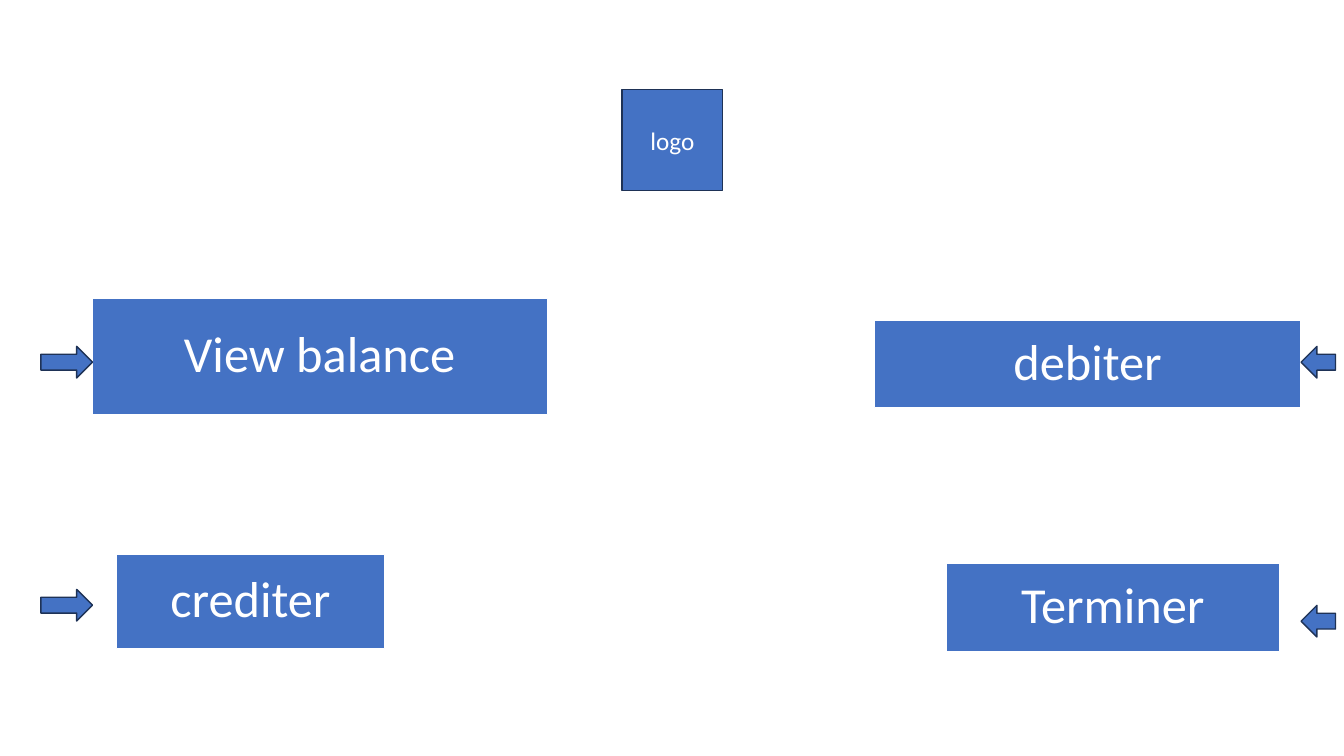
from pptx import Presentation
from pptx.dml.color import RGBColor
from pptx.enum.shapes import MSO_SHAPE as Shape
from pptx.enum.text import MSO_ANCHOR as Anchor, PP_ALIGN as Align
from pptx.util import Pt

BLUE = RGBColor(0x44, 0x72, 0xC4)
NAVY = RGBColor(0x1E, 0x32, 0x56)
WHITE = RGBColor(0xFF, 0xFF, 0xFF)
FONT = "Calibri"

# Boxes are left, top, width, height in points
LOGO = (444.24, 64.08, 72, 72)
BUTTONS = [
    ("View balance", (65.8, 213.12, 325.2, 83.2)),
    ("crediter", (83.1, 396, 191.7, 67.4)),
    ("Terminer", (675.8, 402.1, 238.2, 63.2)),
    ("debiter", (624.6, 228.8, 304.6, 62.4)),
]
ARROW_HEIGHT = 22.6
LEFT_ARROWS = (29.2, 36.9, (247.4, 421))
RIGHT_ARROWS = (929.4, 24.6, (247.4, 432.4))


def add_block(slide, kind, box, line_color):
    shape = slide.shapes.add_shape(kind, *(Pt(length) for length in box))
    shape.shadow.inherit = False
    shape.fill.solid()
    shape.fill.fore_color.rgb = BLUE
    shape.line.color.rgb = line_color
    shape.line.width = Pt(1)
    return shape


def write_text(shape, text, size=18, inset=7.2, line_spacing=1.0):
    frame = shape.text_frame
    frame.word_wrap = True
    frame.vertical_anchor = Anchor.MIDDLE
    frame.margin_left = frame.margin_right = Pt(inset)
    frame.margin_top = frame.margin_bottom = Pt(inset)
    paragraph = frame.paragraphs[0]
    paragraph.alignment = Align.CENTER
    paragraph.line_spacing = line_spacing
    run = paragraph.add_run()
    run.text = text
    run.font.size = Pt(size)
    run.font.name = FONT
    run.font.color.rgb = WHITE


def add_logo_box(slide, box):
    write_text(add_block(slide, Shape.RECTANGLE, box, NAVY), "logo")


def add_button(slide, label, box):
    button = add_block(slide, Shape.RECTANGLE, box, WHITE)
    write_text(button, label, size=36, inset=10.8, line_spacing=0.9)


def add_arrow_column(slide, kind, left, width, tops):
    for top in tops:
        add_block(slide, kind, (left, top, width, ARROW_HEIGHT), NAVY)


def main():
    presentation = Presentation()
    presentation.slide_width, presentation.slide_height = Pt(960), Pt(540)
    slide = presentation.slides.add_slide(presentation.slide_layouts[6])

    # Menu buttons
    for label, box in BUTTONS:
        add_button(slide, label, box)

    # Logo box
    add_logo_box(slide, LOGO)

    # Side arrows pointing at the buttons
    add_arrow_column(slide, Shape.LEFT_ARROW, *RIGHT_ARROWS)
    add_arrow_column(slide, Shape.RIGHT_ARROW, *LEFT_ARROWS)

    presentation.save("out.pptx")


if __name__ == "__main__":
    main()
